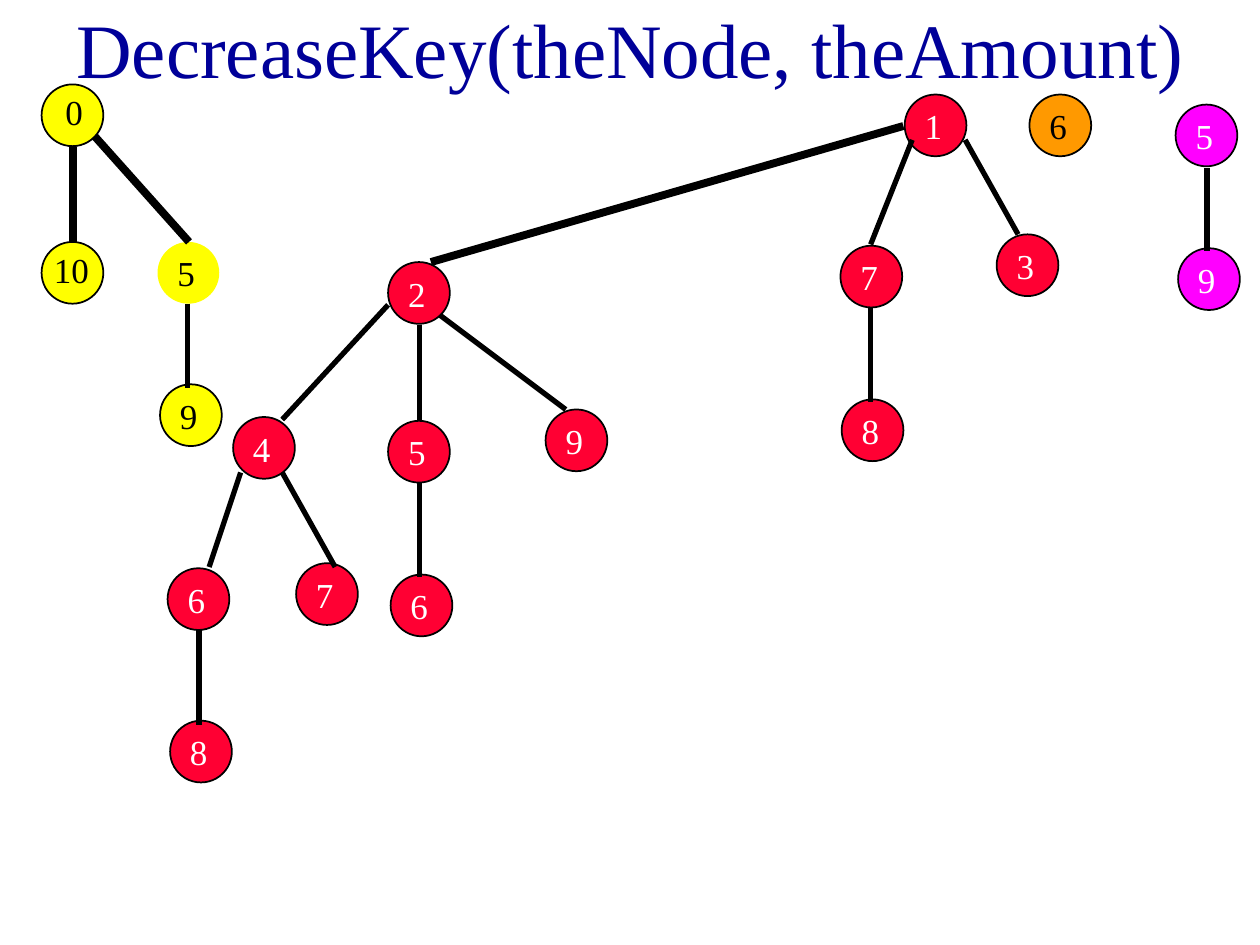
from dataclasses import dataclass

from lxml import etree
from pptx import Presentation
from pptx.dml.color import RGBColor as RGB
from pptx.enum.shapes import MSO_CONNECTOR as CONNECTOR, MSO_SHAPE as SHAPE
from pptx.enum.text import MSO_ANCHOR as ANCHOR, MSO_AUTO_SIZE as AUTOSIZE, PP_ALIGN as ALIGN
from pptx.oxml.ns import qn
from pptx.util import Inches, Pt


@dataclass(frozen=True)
class Theme:
    font: str = "Times New Roman"
    title_size: int = 44
    key_size: int = 20
    title: str = "000099"
    ink: str = "000000"
    white: str = "FFFFFF"
    yellow: str = "FFFF00"
    red: str = "FF0033"
    orange: str = "FF9900"
    magenta: str = "FF00FF"
    outline: float = 1
    edge: float = 3
    heavy_edge: float = 4.5


THEME = Theme()
NODE_SIZE = 0.49
KEY_OFFSET = (0.06, 0.03)
KEY_HEIGHT = 0.43
KEY_WIDTHS = {1: 0.34, 2: 0.48}  # by number of digits


class HeapSlide:
    def __init__(self, slide, theme):
        self.slide = slide
        self.theme = theme

    def style_runs(self, frame, size, color):
        for run in frame.paragraphs[0].runs:
            run.font.name = self.theme.font
            run.font.size = Pt(size)
            run.font.color.rgb = RGB.from_string(color)

    def title(self, wording, left, top, width, height):
        title = self.slide.shapes.title
        title.left, title.top = Inches(left), Inches(top)
        title.width, title.height = Inches(width), Inches(height)
        frame = title.text_frame
        frame.text = wording
        frame.auto_size = AUTOSIZE.NONE
        frame.vertical_anchor = ANCHOR.MIDDLE
        frame.paragraphs[0].alignment = ALIGN.CENTER
        self.style_runs(frame, self.theme.title_size, self.theme.title)

    def node(self, parent, left, top, fill, outlined=True):
        circle = parent.add_shape(SHAPE.OVAL, Inches(left), Inches(top),
                                  Inches(NODE_SIZE), Inches(NODE_SIZE))
        circle.shadow.inherit = False
        circle.fill.solid()
        circle.fill.fore_color.rgb = RGB.from_string(fill)
        if outlined:
            circle.line.color.rgb = RGB.from_string(self.theme.ink)
            circle.line.width = Pt(self.theme.outline)
        else:
            circle.line.fill.background()

    def key(self, parent, wording, left, top, color):
        label = parent.add_textbox(Inches(left), Inches(top),
                                   Inches(KEY_WIDTHS[len(wording)]), Inches(KEY_HEIGHT))
        frame = label.text_frame
        frame.text = wording
        frame.word_wrap = False
        frame.auto_size = AUTOSIZE.SHAPE_TO_FIT_TEXT
        self.style_runs(frame, self.theme.key_size, color)

    def edge(self, parent, x1, y1, x2, y2, weight):
        branch = parent.add_connector(CONNECTOR.STRAIGHT, Inches(x1), Inches(y1),
                                      Inches(x2), Inches(y2))
        branch.line.color.rgb = RGB.from_string(self.theme.ink)
        branch.line.width = Pt(weight)
        etree.SubElement(branch._element.spPr, qn("a:effectLst"))

    def tree(self, nodes, edges, heavy_edges, fill, key_color, grouped=False, bare=()):
        """Draw one tree; nodes are (key, left, top[, key offset]), bare ones have no outline."""
        shapes = self.slide.shapes
        parent = shapes.add_group_shape().shapes if grouped else shapes
        for number, (_, left, top, *_) in enumerate(nodes):
            self.node(parent, left, top, fill, outlined=number not in bare)
        for wording, left, top, *offset in nodes:
            dx, dy = offset[0] if offset else KEY_OFFSET
            self.key(parent, wording, left + dx, top + dy, key_color)
        for ends in edges:
            self.edge(parent, *ends, self.theme.edge)
        for ends in heavy_edges:
            self.edge(parent, *ends, self.theme.heavy_edge)


YELLOW_NODES = [("10", 0.33, 1.92, (0, 0)), ("0", 0.33, 0.67, (0.09, 0)),
                ("5", 1.25, 1.92), ("9", 1.27, 3.05)]
YELLOW_EDGES = [(1.49, 2.41, 1.49, 3.08)]
YELLOW_HEAVY = [(0.58, 1.17, 0.58, 1.92), (0.75, 1.08, 1.5, 1.92)]

RED_NODES = [
    ("1", 7.18, 0.75), ("7", 6.67, 1.95), ("3", 7.91, 1.86), ("8", 6.68, 3.17),
    ("2", 3.08, 2.08), ("5", 3.08, 3.34), ("9", 4.33, 3.25), ("6", 3.1, 4.56),
    ("4", 1.85, 3.31), ("6", 1.33, 4.51), ("7", 2.35, 4.47), ("8", 1.35, 5.72),
]
RED_EDGES = [
    (6.91, 2.44, 6.91, 3.19), (7.24, 1.11, 6.91, 1.94), (7.66, 1.11, 8.08, 1.86),
    (3.33, 3.83, 3.33, 4.58), (3.33, 2.58, 3.33, 3.33), (3.49, 2.5, 4.49, 3.25),
    (1.58, 5, 1.58, 5.75), (1.91, 3.75, 1.66, 4.5), (2.24, 3.75, 2.66, 4.5),
    (3.08, 2.42, 2.24, 3.33),
]
RED_HEAVY = [(7.17, 1, 3.42, 2.08)]

ORANGE_NODES = [("6", 8.17, 0.75)]

MAGENTA_NODES = [("5", 9.33, 0.83), ("9", 9.35, 1.97)]
MAGENTA_EDGES = [(9.58, 1.33, 9.58, 1.99)]


def main():
    deck = Presentation()
    deck.slide_width, deck.slide_height = Inches(10), Inches(7.5)
    title_only = deck.slide_layouts[5]
    heap = HeapSlide(deck.slides.add_slide(title_only), THEME)
    heap.title("DecreaseKey(theNode, theAmount)", 0.17, 0, 9.67, 0.75)
    heap.tree(YELLOW_NODES, YELLOW_EDGES, YELLOW_HEAVY, THEME.yellow, THEME.ink, bare=(2,))
    heap.tree(RED_NODES, RED_EDGES, RED_HEAVY, THEME.red, THEME.white, grouped=True)
    heap.tree(ORANGE_NODES, [], [], THEME.orange, THEME.ink, grouped=True)
    heap.tree(MAGENTA_NODES, MAGENTA_EDGES, [], THEME.magenta, THEME.white)
    deck.save("out.pptx")


if __name__ == "__main__":
    main()
